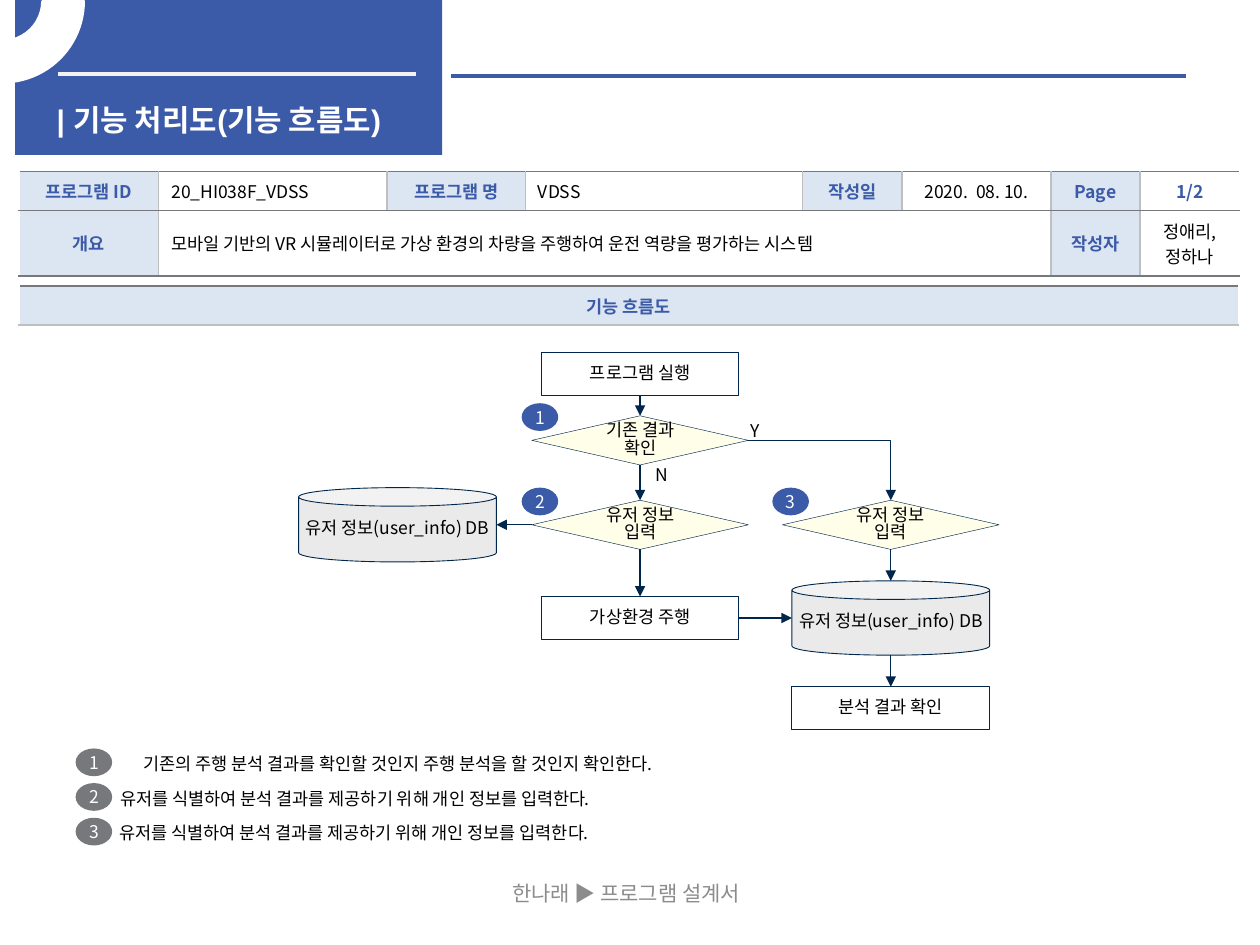
from collections import namedtuple
from lxml.etree import SubElement
from pptx import Presentation
from pptx.dml.color import RGBColor
from pptx.enum.shapes import MSO_CONNECTOR as Line, MSO_SHAPE as Kind
from pptx.enum.text import MSO_ANCHOR as Anchor, MSO_AUTO_SIZE as Fit, PP_ALIGN as Align
from pptx.oxml.ns import qn
from pptx.util import Inches, Pt

FONT = "Noto Sans CJK KR"
BLUE, NAVY, GRAY, PALE = "3B5AA8", "00264C", "77787B", "DCE6F2"
WHITE, BLACK, SILVER = "FFFFFF", "000000", "BFBFBF"
COLS, ROWS = 100, 75
Box = namedtuple("Box", "x y w h")


def unit(n):
    """Length of n grid steps; the slide is 100 columns by 75 rows."""
    return Inches(n / 10)


def color(code):
    return RGBColor.from_string(code)


def inside(box, x, y, w, h):
    return Box(box.x + x, box.y + y, w, h)


def write(frame, text, size=10, ink=BLACK, bold=False, align=Align.CENTER, font=FONT, gap=None):
    frame.text = text
    for para in frame.paragraphs:
        para.alignment = align
        para.line_spacing = gap
        for run in para.runs:
            run.font.size, run.font.bold, run.font.name = Pt(size), bold, font
            run.font.color.rgb = color(ink)
            SubElement(run.font._element, qn("a:ea"), typeface=FONT)


def pad(frame, size):
    frame.margin_left = frame.margin_right = unit(size)
    frame.margin_top = frame.margin_bottom = unit(size)


def shape(slide, kind, box, fill=None, line=None, width=0.5):
    item = slide.shapes.add_shape(kind, *map(unit, box))
    item.shadow.inherit = False
    if fill:
        item.fill.solid()
        item.fill.fore_color.rgb = color(fill)
    else:
        item.fill.background()
    if line:
        item.line.color.rgb = color(line)
        item.line.width = Pt(width)
    else:
        item.line.fill.background()
    item.text_frame.vertical_anchor = Anchor.MIDDLE
    return item


def label(slide, box, text, **style):
    frame = slide.shapes.add_textbox(*map(unit, box)).text_frame
    frame.word_wrap = True
    frame.vertical_anchor = Anchor.MIDDLE
    write(frame, text, **style)


def rule(slide, start, end, ink=NAVY, width=0.75, arrow=False, bent=False):
    kind = Line.ELBOW if bent else Line.STRAIGHT
    item = slide.shapes.add_connector(kind, *map(unit, (*start, *end)))
    item.line.color.rgb = color(ink)
    item.line.width = Pt(width)
    props = item.element.spPr
    if bent:
        props.find(qn("a:prstGeom")).set("prst", "bentConnector2")
    if arrow:
        SubElement(props.find(qn("a:ln")), qn("a:tailEnd"), type="triangle")
    SubElement(props, qn("a:effectLst"))


def badge(slide, x, y, num, fill):
    item = shape(slide, Kind.OVAL, Box(x, y, 2.9, 2.2), fill)
    frame = item.text_frame
    pad(frame, 0)
    frame.word_wrap = False
    write(frame, str(num), ink=WHITE)


def banner(slide, box):
    shape(slide, Kind.RECTANGLE, box, BLUE)
    mid = box.y + 5.9
    rule(slide, (box.x + 3.4, mid), (box.x + 31.8, mid), "F2F2F2", 2.25)
    rule(slide, (box.x + 34.6, mid + 0.1), (COLS - 5.9, mid + 0.1), BLUE, 2.25)
    ring = shape(slide, Kind.BLOCK_ARC, inside(box, -7.5, -6.3, 12.9, 12.8), WHITE, WHITE, 2)
    for i, value in enumerate((0, 119.05, 0.25)):
        ring.adjustments[i] = value
    title = slide.shapes.title
    slide.shapes.element.append(title.element)
    title.left, title.top, title.width, title.height = map(unit, inside(box, 2.3, 7.8, 30.7, 3.4))
    frame = title.text_frame
    frame.auto_size, frame.word_wrap = Fit.NONE, False
    frame.vertical_anchor = Anchor.MIDDLE
    write(frame, "| 기능 처리도(기능 흐름도)", 17, WHITE, True, Align.LEFT, "Arial")


def grid(slide, box, cols, rows):
    table = slide.shapes.add_table(len(rows), len(cols), *map(unit, box)).table
    table.first_row = table.horz_banding = False
    for col, size in zip(table.columns, cols):
        col.width = unit(size)
    for row, size in zip(table.rows, rows):
        row.height = unit(size)
    return table


def dress(cell, left, right, top, bottom, fill):
    """Set the four border colours, then the fill."""
    props = cell._tc.get_or_add_tcPr()
    for side, ink in zip("LRTB", (left, right, top, bottom)):
        edge = SubElement(props, qn("a:ln" + side), w=str(Pt(1)))
        SubElement(SubElement(edge, qn("a:solidFill")), qn("a:srgbClr"), val=ink)
    cell.fill.solid()
    cell.fill.fore_color.rgb = color(fill)
    cell.vertical_anchor = Anchor.MIDDLE


def summary(slide, box):
    """Each entry is text and style: h head, l left, c centred, b blue."""
    data = [
        [("프로그램 ID", "h"), ("20_HI038F_VDSS", "l"), ("프로그램 명", "h"), ("VDSS", "l"),
         ("작성일", "h"), ("2020.  08. 10.", "c"), ("Page", "h"), ("1/2", "b")],
        [("개요", "h"),
         ("모바일 기반의 VR 시뮬레이터로 가상 환경의 차량을 주행하여 운전 역량을 평가하는 시스템", "l"),
         *[("", "l")] * 4, ("작성자", "h"), ("정애리,\n정하나", "c")],
    ]
    cols = (11.1, 18.1, 11, 22, 7.9, 11.8, 7.1, 7.9)
    table = grid(slide, box, cols, (3.1, 5.2))
    table.cell(1, 1).merge(table.cell(1, 5))
    last = len(cols) - 1
    for r, row in enumerate(data):
        for c, (text, style) in enumerate(row):
            cell = table.cell(r, c)
            dress(cell, SILVER if c else WHITE, SILVER if c < last else WHITE,
                  GRAY, GRAY, PALE if style == "h" else WHITE)
            strong = style in "hb"
            if text:
                write(cell.text_frame, text, ink=BLUE if strong else BLACK, bold=strong,
                      align=Align.LEFT if style == "l" else Align.CENTER)


def panel(slide, box):
    head = 3.1
    table = grid(slide, box, (box.w,), (head, box.h - head))
    dress(table.cell(0, 0), WHITE, WHITE, GRAY, SILVER, PALE)
    dress(table.cell(1, 0), WHITE, WHITE, SILVER, WHITE, WHITE)
    write(table.cell(0, 0).text_frame, "기능 흐름도", ink=BLUE, bold=True)


def flow(slide, box):
    looks = {
        "step": (Kind.RECTANGLE, 15.7, 3.4, None, 0.5),
        "test": (Kind.FLOWCHART_DECISION, 17.2, 3.9, "FFFFE9", 0.25),
        "data": (Kind.CAN, 15.7, 5.9, "EAEAEA", 0.5),
    }
    left, mid, right = (box.x + x for x in (7.85, 27.1, 47))
    tiers = [box.y + y for y in (1.7, 6.95, 13.65, 21.05, 28.2)]
    store = "유저 정보(user_info) DB"
    nodes = {
        "start": ("step", mid, 0, "프로그램 실행"),
        "check": ("test", mid, 1, "기존 결과 확인"),
        "enter": ("test", mid, 2, "유저 정보 입력"),
        "again": ("test", right, 2, "유저 정보 입력"),
        "users": ("data", left, 2, store),
        "drive": ("step", mid, 3, "가상환경 주행"),
        "saved": ("data", right, 3, store),
        "end": ("step", right, 4, "분석 결과 확인"),
    }
    spots = {}
    for name, (look, x, tier, text) in nodes.items():
        kind, w, h, fill, width = looks[look]
        spot = spots[name] = Box(x - w / 2, tiers[tier] - h / 2, w, h)
        item = shape(slide, kind, spot, fill, NAVY, width)
        if look != "test":
            pad(item.text_frame, 0.4)
        write(item.text_frame, text, gap=0.83)

    def port(name, side):
        b = spots[name]
        return {"t": (b.x + b.w / 2, b.y), "b": (b.x + b.w / 2, b.y + b.h),
                "l": (b.x, b.y + b.h / 2), "r": (b.x + b.w, b.y + b.h / 2)}[side]

    links = ("start b check t", "check b enter t", "enter l users r", "enter b drive t",
             "drive r saved l", "again b saved t", "saved b end t", "check r again t")
    for link in links:
        a, out, b, into = link.split()
        rule(slide, port(a, out), port(b, into), arrow=True, bent=out + into == "rt")
    for num, name in enumerate(("check", "enter", "again"), 1):
        badge(slide, spots[name].x - 0.8, spots[name].y - 1, num, BLUE)
    for text, (x, y), dx, dy in (("Y", port("check", "r"), -0.9, -2.1),
                                 ("N", port("check", "b"), 0.2, -0.6)):
        label(slide, Box(x + dx, y + dy, 2.9, 2.7), text)


def notes(slide, box):
    again = "유저를 식별하여 분석 결과를 제공하기 위해 개인 정보를 입력한다."
    lines = (("기존의 주행 분석 결과를 확인할 것인지 주행 분석을 할 것인지 확인한다.", 4.4),
             (again, 2.6), (again, 2.5))
    step = box.h / len(lines)
    for i, (text, x) in enumerate(lines):
        y = box.y + i * step
        badge(slide, box.x, y, i + 1, GRAY)
        label(slide, Box(box.x + x, y - 0.2, box.w - x, 2.8), text, align=Align.LEFT)


def main():
    deck = Presentation()
    deck.slide_width, deck.slide_height = unit(COLS), unit(ROWS)
    slide = deck.slides.add_slide(deck.slide_layouts[5])
    banner(slide, Box(1.2, 0, 33.9, 12.3))
    panel(slide, Box(1.5, 22.7, 96.8, 44.6))
    summary(slide, Box(1.5, 13.6, 96.9, 8.3))
    flow(slide, Box(23.7, 28, 55.6, 29.9))
    notes(slide, Box(6, 59.4, 52, 8.25))
    label(slide, Box(27.2, 68.9, 45, 4), "한나래 ▶ 프로그램 설계서", size=12, ink="8C8C8C")
    deck.save("out.pptx")


if __name__ == "__main__":
    main()
